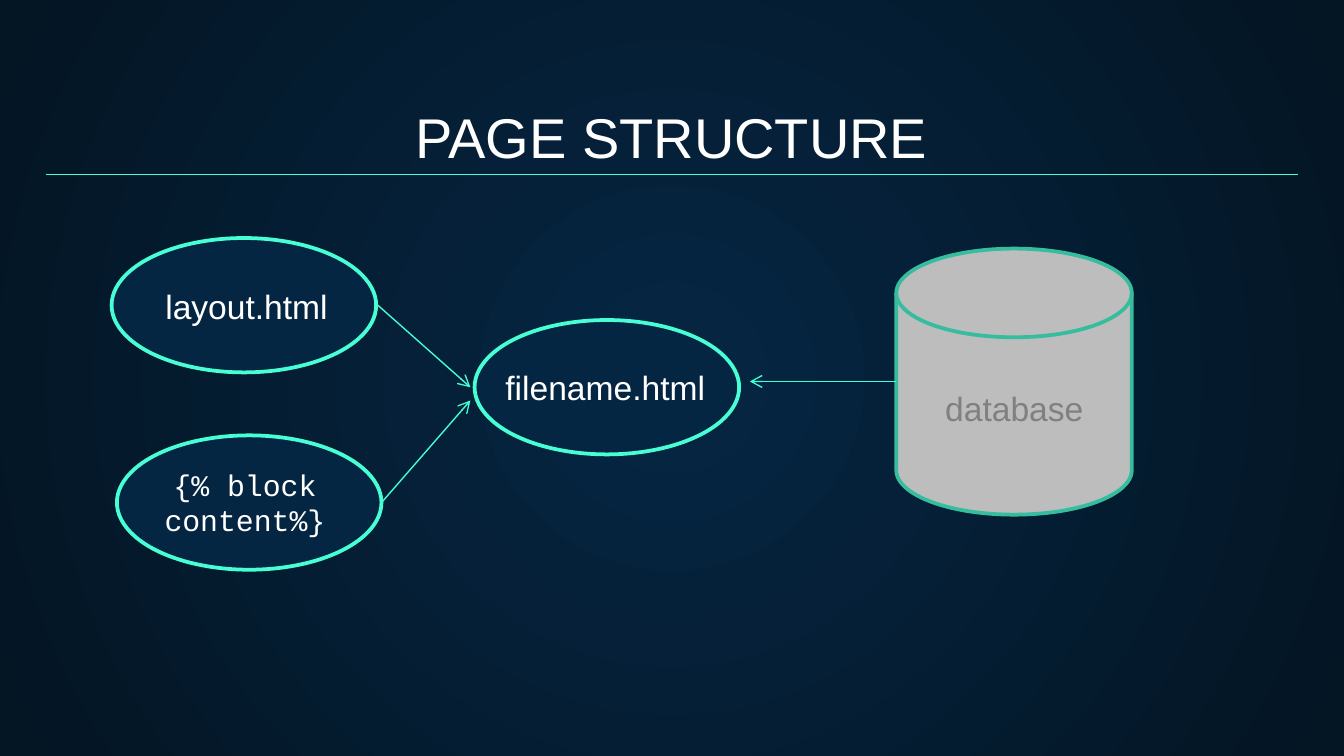
from dataclasses import dataclass

from lxml.etree import SubElement
from pptx import Presentation
from pptx.dml.color import RGBColor
from pptx.enum.shapes import MSO_CONNECTOR, MSO_SHAPE
from pptx.enum.text import MSO_ANCHOR, MSO_AUTO_SIZE, PP_ALIGN
from pptx.oxml.ns import qn
from pptx.util import Cm, Pt


@dataclass(frozen=True)
class Theme:
    center: RGBColor = RGBColor.from_string("052643")
    edge: RGBColor = RGBColor.from_string("041523")
    accent: RGBColor = RGBColor.from_string("48FFD5")
    arrow: RGBColor = RGBColor.from_string("42FED3")
    disk: RGBColor = RGBColor.from_string("BDBDBD")
    disk_border: RGBColor = RGBColor.from_string("35BD9E")
    muted: RGBColor = RGBColor.from_string("808080")
    white: RGBColor = RGBColor.from_string("FFFFFF")
    body_font: str = "Arial"
    code_font: str = "Courier New"
    title_size: Pt = Pt(30)
    label_size: Pt = Pt(18)
    code_size: Pt = Pt(16)
    thin: Pt = Pt(0.75)
    thick: Pt = Pt(2)


theme = Theme()


def write_centered(frame, text, font, size, color):
    frame.text = text
    frame.word_wrap = True
    paragraph = frame.paragraphs[0]
    paragraph.alignment = PP_ALIGN.CENTER
    run_font = paragraph.runs[0].font
    run_font.name, run_font.size = font, size
    run_font.color.rgb = color


def draw_line(start, end, color, arrow=False):
    line = slide.shapes.add_connector(
        MSO_CONNECTOR.STRAIGHT, *map(Cm, start), *map(Cm, end)
    )
    line.line.color.rgb = color
    line.line.width = theme.thin
    if arrow:
        SubElement(line.line._get_or_add_ln(), qn("a:tailEnd"), type="arrow")
    SubElement(line._element.spPr, qn("a:effectLst"))


deck = Presentation()
deck.slide_width, deck.slide_height = Cm(25.4), Cm(14.29)
slide = deck.slides.add_slide(deck.slide_layouts[5])

backdrop = slide.background.fill
backdrop.gradient()
for stop, color in zip(backdrop.gradient_stops, (theme.center, theme.edge)):
    stop.color.rgb = color
gradient = slide.element.find(".//" + qn("a:gradFill"))
gradient.remove(gradient.find(qn("a:lin")))
circle = SubElement(gradient, qn("a:path"), {"path": "circle"})
SubElement(circle, qn("a:fillToRect"), dict.fromkeys("ltrb", "50000"))

title = slide.shapes.title
title.left, title.top, title.width, title.height = map(Cm, (0.86, 1.78, 23.67, 1.68))
heading = title.text_frame
write_centered(heading, "PAGE STRUCTURE", theme.body_font, theme.title_size, theme.white)
heading.auto_size = MSO_AUTO_SIZE.NONE
heading.vertical_anchor = MSO_ANCHOR.BOTTOM
heading.margin_top = heading.margin_bottom = Cm(0.25)
draw_line((0.86, 3.3), (24.54, 3.3), theme.accent)

page = (MSO_SHAPE.OVAL, theme.center, theme.accent)
store = (MSO_SHAPE.FLOWCHART_MAGNETIC_DISK, theme.disk, theme.disk_border)
label = (theme.body_font, theme.label_size, theme.white)
code = (theme.code_font, theme.code_size, theme.white)
muted = (theme.body_font, theme.label_size, theme.muted)
nodes = [
    ("filename.html", page, (8.97, 6.05, 5, 2.54), label, (9.27, 6.81, 4.34, 1.02)),
    ("layout.html", page, (2.11, 4.5, 5, 2.54), label, (2.49, 5.28, 4.34, 1.02)),
    ("{% block content%}", page, (2.21, 8.23, 5, 2.54), code, (2.46, 8.69, 4.34, 1.63)),
    ("database", store, (16.94, 4.7, 4.45, 5.03), muted, (17.58, 7.21, 3.18, 1.02)),
]
for text, (outline, fill, border), node_box, text_style, text_box in nodes:
    node = slide.shapes.add_shape(outline, *map(Cm, node_box))
    node.shadow.inherit = False
    node.fill.solid()
    node.fill.fore_color.rgb = fill
    node.line.color.rgb = border
    node.line.width = theme.thick
    caption = slide.shapes.add_textbox(*map(Cm, text_box))
    write_centered(caption.text_frame, text, *text_style)

arrows = [
    ((7.14, 5.77), (8.89, 7.32)),
    ((7.21, 9.5), (8.89, 7.57)),
    ((16.94, 7.21), (14.17, 7.21)),
]
for start, end in arrows:
    draw_line(start, end, theme.arrow, arrow=True)

deck.save("out.pptx")
